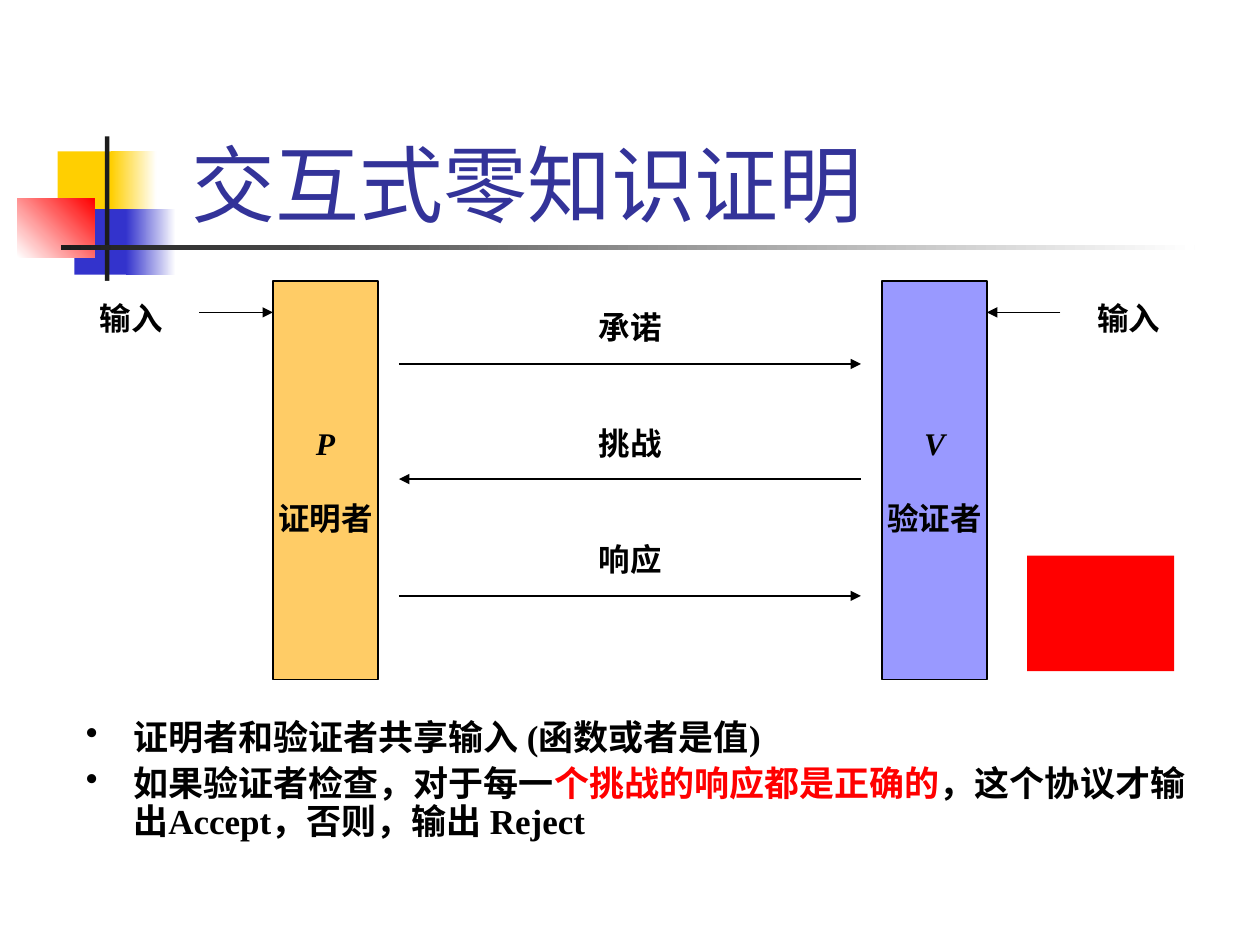
from lxml.etree import SubElement
from pptx import Presentation
from pptx.dml.color import RGBColor
from pptx.enum.shapes import MSO_CONNECTOR, MSO_SHAPE
from pptx.enum.text import MSO_ANCHOR, MSO_AUTO_SIZE, PP_ALIGN
from pptx.oxml.ns import qn
from pptx.util import Pt

COLORS = {
    "black": "000000", "white": "FFFFFF", "red": "FF0000", "yellow": "FFCF01",
    "blue": "3333CC", "dark": "1C1C1C", "title": "333399",
    "prover": "FFCC66", "verifier": "9999FF",
}


def color(name):
    return RGBColor.from_string(COLORS[name])


def write(para, text, size=18, bold=True, italic=False, ink="black"):
    span = para.add_run()
    span.text = text
    span.font.name = "Times New Roman"
    span.font.size = Pt(size)
    span.font.bold = bold
    span.font.italic = italic
    span.font.color.rgb = color(ink)


deck = Presentation()
deck.slide_width, deck.slide_height = Pt(720), Pt(540)
page = deck.slides.add_slide(deck.slide_layouts[5])

decorations = [
    (33, 86.5, 34.5, 37.5, "yellow", None, 0),
    (63.5, 86.5, 26, 37.5, "yellow", "white", 0),
    (42.5, 119.5, 33, 37.5, "blue", None, 0),
    (72, 119.5, 28.5, 37.5, "blue", "white", 0),
    (10, 113.5, 44, 33.5, "white", "red", 45),
    (60, 78, 2.5, 82.5, "dark", None, 0),
    (34.75, 140.25, 648, 2.5, "dark", "white", 0),
]
for left, top, width, height, start, end, angle in decorations:
    block = page.shapes.add_shape(MSO_SHAPE.RECTANGLE, Pt(left), Pt(top), Pt(width), Pt(height))
    block.shadow.inherit = False
    block.line.fill.background()
    if end:
        block.fill.gradient()
        block.fill.gradient_angle = angle
        for stop, name in zip(block.fill.gradient_stops, (start, end)):
            stop.color.rgb = color(name)
    else:
        block.fill.solid()
        block.fill.fore_color.rgb = color(start)

title = page.shapes.title
title.left, title.top, title.width, title.height = Pt(102), Pt(72), Pt(402.5), Pt(65)
title.text_frame.word_wrap = False
title.text_frame.auto_size = MSO_AUTO_SIZE.NONE
title.text_frame.vertical_anchor = MSO_ANCHOR.TOP
title.text_frame.paragraphs[0].alignment = PP_ALIGN.LEFT
write(title.text_frame.paragraphs[0], "交互式零知识证明", size=48, bold=False, ink="title")

notes = page.shapes.add_textbox(Pt(42), Pt(408), Pt(660), Pt(105))
notes.text_frame.word_wrap = True
bullets = [
    [("证明者和验证者共享输入 (函数或者是值)", "black")],
    [("如果验证者检查，对于每一", "black"), ("个挑战的响应都是正确的", "red"),
     ("，这个协议才输出Accept，否则，输出 Reject", "black")],
]
for index, parts in enumerate(bullets):
    para = notes.text_frame.add_paragraph() if index else notes.text_frame.paragraphs[0]
    para.line_spacing = 0.9
    para.space_before = Pt(5 if index else 0)
    properties = para._p.get_or_add_pPr()
    properties.set("marL", str(Pt(27)))
    properties.set("indent", str(Pt(-27)))
    SubElement(properties, qn("a:buChar"), char="•")
    for text, ink in parts:
        write(para, text, size=20, ink=ink)

boxes = [
    (156, 160.5, 60, 228, "prover", ["P", "证明者"]),
    (504, 160.5, 60, 228, "verifier", ["V", "验证者"]),
    (240, 172, 240, 30, "white", ["承诺"]),
    (240, 238, 240, 30, "white", ["挑战"]),
    (240, 304.5, 240, 30, "white", ["响应"]),
    (36, 160.5, 78, 42, "white", ["输入"]),
    (606, 160.5, 78, 42, "white", ["输入"]),
    (587, 317.5, 84, 66, "red", []),
]
for left, top, width, height, fill, lines in boxes:
    box = page.shapes.add_shape(MSO_SHAPE.RECTANGLE, Pt(left), Pt(top), Pt(width), Pt(height))
    box.shadow.inherit = False
    box.fill.solid()
    box.fill.fore_color.rgb = color(fill)
    if fill in ("prover", "verifier"):
        box.line.color.rgb = color("black")
        box.line.width = Pt(0.75)
    else:
        box.line.fill.background()
    frame = box.text_frame
    frame.word_wrap = False
    frame.vertical_anchor = MSO_ANCHOR.MIDDLE
    for index, text in enumerate(lines):
        para = frame.add_paragraph() if index else frame.paragraphs[0]
        para.alignment = PP_ALIGN.CENTER
        para.space_before = Pt(21 if index else 0)
        write(para, text, italic=text in ("P", "V"))

arrows = [
    (228, 492, 208), (492, 228, 273.75), (228, 492, 340.5),
    (114, 156, 178.5), (606, 564, 178.5),
]
for start, end, height in arrows:
    arrow = page.shapes.add_connector(
        MSO_CONNECTOR.STRAIGHT, Pt(start), Pt(height), Pt(end), Pt(height))
    arrow.line.color.rgb = color("black")
    arrow.line.width = Pt(0.75)
    SubElement(arrow.line._get_or_add_ln(), qn("a:tailEnd"), type="triangle")
    SubElement(arrow._element.spPr, qn("a:effectLst"))

deck.save("out.pptx")
